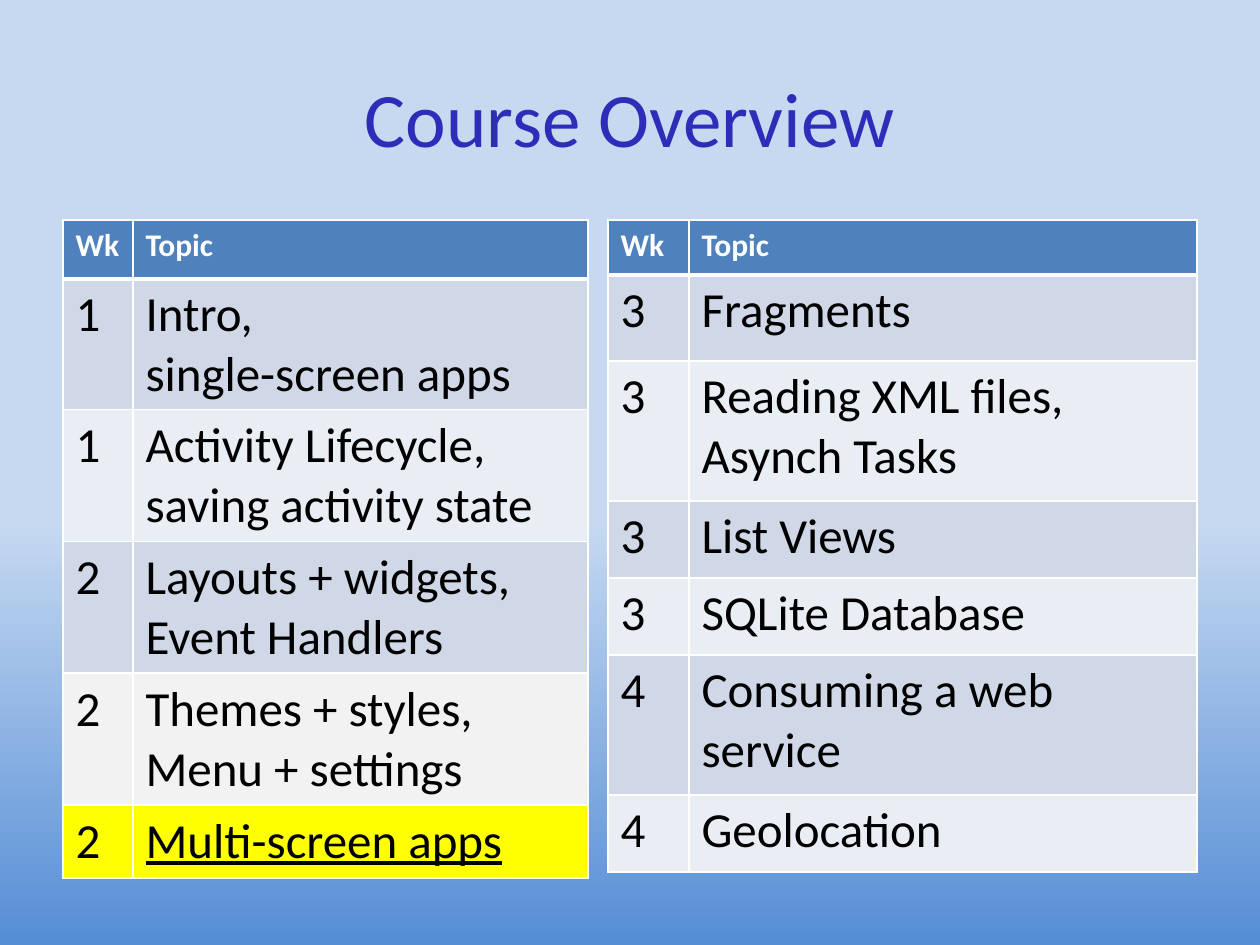
from lxml.etree import SubElement
from pptx import Presentation
from pptx.dml.color import RGBColor
from pptx.enum.text import MSO_ANCHOR, PP_ALIGN
from pptx.oxml.ns import qn
from pptx.util import Emu, Pt

PX_PER_INCH = 126
FONT = "Calibri"
SKY = RGBColor(0xC6, 0xD9, 0xF1)
DEEP_SKY = RGBColor(0x55, 0x8E, 0xD5)
TITLE_BLUE = RGBColor(0x2D, 0x2D, 0xB9)
HEADER_BLUE = RGBColor(0x4F, 0x81, 0xBD)
BAND_DARK = RGBColor(0xD0, 0xD8, 0xE8)
BAND_LIGHT = RGBColor(0xE9, 0xED, 0xF4)
PALE_GREY = RGBColor(0xF2, 0xF2, 0xF2)
YELLOW = RGBColor(0xFF, 0xFF, 0x00)
WHITE = RGBColor(0xFF, 0xFF, 0xFF)
BLACK = RGBColor(0x00, 0x00, 0x00)

FIRST_HALF = [
    (59, "1", ["Intro, \vsingle-screen apps"]),
    (132, "1", ["Activity Lifecycle, saving activity state"]),
    (132, "2", ["Layouts + widgets,", "Event Handlers"]),
    (132, "2", ["Themes + styles,", "Menu + settings"]),
    (73, "2", ["Multi-screen apps"]),
]
SECOND_HALF = [
    (86, "3", ["Fragments"]),
    (140, "3", ["Reading XML files,", "Asynch Tasks"]),
    (77, "3", ["List Views"]),
    (77, "3", ["SQLite Database"]),
    (140, "4", ["Consuming a web service"]),
    (77, "4", ["Geolocation"]),
]


def px(length):
    return Emu(round(length * 914400 / PX_PER_INCH))


def add_span(para, text, size, color, bold=False, underline=False):
    for index, line in enumerate(text.split("\v")):
        if index:
            para.add_line_break()
        span = para.add_run()
        span.text = line
        font = span.font
        font.name, font.size, font.bold = FONT, Pt(size), bold
        font.color.rgb = color
        if underline:
            font.underline = True


def set_borders(cell, top, bottom):
    properties = cell._tc.get_or_add_tcPr()
    for side, points in (("L", 1), ("R", 1), ("T", top), ("B", bottom)):
        line = SubElement(properties, qn(f"a:ln{side}"), w=str(Pt(points)))
        fill = SubElement(line, qn("a:solidFill"))
        SubElement(fill, qn("a:srgbClr"), val=str(WHITE))


def fill_cell(cell, lines, row, fill, underline):
    set_borders(cell, 3 if row == 1 else 1, 3 if row == 0 else 1)
    cell.fill.solid()
    cell.fill.fore_color.rgb = fill
    size, color = (18, WHITE) if row == 0 else (28, BLACK)
    frame = cell.text_frame
    for index, line in enumerate(lines):
        para = frame.add_paragraph() if index else frame.paragraphs[0]
        add_span(para, line, size, color, row == 0, underline)


def add_background(page):
    fill = page.background.fill
    fill.gradient()
    fill.gradient_angle = 270
    stops = ((0.55, SKY), (1, DEEP_SKY))
    for stop, (position, color) in zip(fill.gradient_stops, stops):
        stop.position = position
        stop.color.rgb = color


def add_title(page, left, top, width, height):
    box = page.shapes.add_textbox(px(left), px(top), px(width), px(height))
    frame = box.text_frame
    frame.word_wrap = True
    frame.vertical_anchor = MSO_ANCHOR.MIDDLE
    para = frame.paragraphs[0]
    para.alignment = PP_ALIGN.CENTER
    add_span(para, "Course Overview", 44, TITLE_BLUE)


def add_schedule(page, left, top, columns, header_height, topics,
                 special_fills=None, current_row=None):
    rows = [(header_height, "Wk", ["Topic"])] + topics
    height = sum(row[0] for row in rows)
    table = page.shapes.add_table(len(rows), 2, px(left), px(top),
                                  px(sum(columns)), px(height)).table
    for column, width in zip(table.columns, columns):
        column.width = px(width)
    for row, (row_height, week, lines) in enumerate(rows):
        table.rows[row].height = px(row_height)
        band = BAND_DARK if row % 2 else BAND_LIGHT
        fill = HEADER_BLUE if row == 0 else (special_fills or {}).get(row, band)
        fill_cell(table.cell(row, 0), [week], row, fill, False)
        fill_cell(table.cell(row, 1), lines, row, fill, row == current_row)


def main():
    deck = Presentation()
    deck.slide_width, deck.slide_height = px(1260), px(945)
    page = deck.slides.add_slide(deck.slide_layouts[6])
    add_background(page)
    add_title(page, 63, 38, 1134, 157)
    add_schedule(page, 63, 220, (70, 455), 59, FIRST_HALF,
                 {4: PALE_GREY, 5: YELLOW}, current_row=5)
    add_schedule(page, 608, 220, (81, 508), 55, SECOND_HALF)
    deck.save("out.pptx")


if __name__ == "__main__":
    main()
